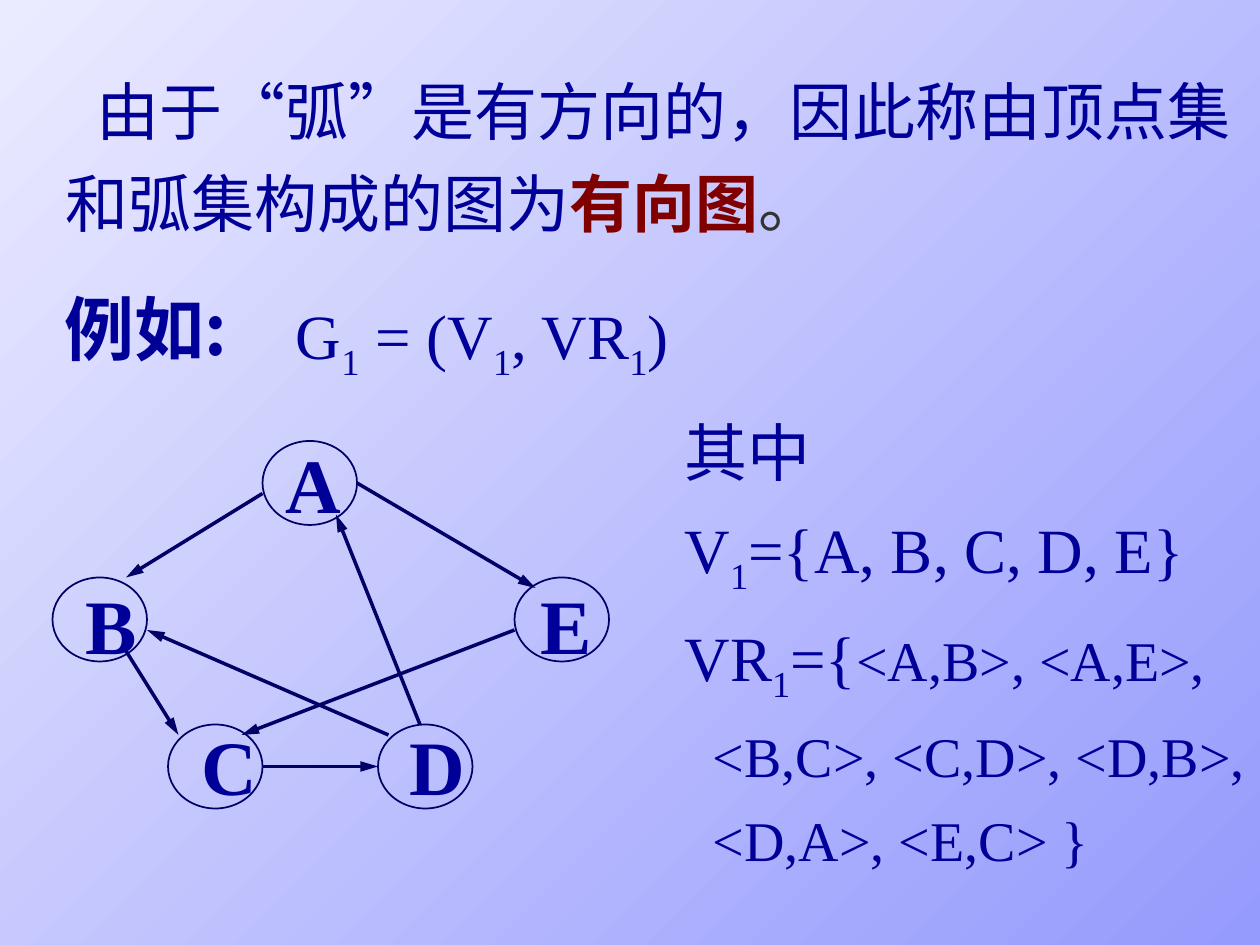
from lxml.etree import SubElement
from pptx import Presentation
from pptx.dml.color import RGBColor
from pptx.enum.shapes import MSO_CONNECTOR, MSO_SHAPE
from pptx.enum.text import MSO_ANCHOR, MSO_AUTO_SIZE, PP_ALIGN
from pptx.oxml.ns import qn
from pptx.util import Pt

PX = 7620  # 120 px to the inch
BLUE = RGBColor(0x00, 0x00, 0x99)
NAVY = RGBColor(0x00, 0x00, 0x66)
MAROON = RGBColor(0x80, 0x00, 0x00)
GREY = RGBColor(0x33, 0x33, 0x33)
DEEP = RGBColor(0x95, 0x9A, 0xFD)
PALE = RGBColor(0xEB, 0xEB, 0xFF)
CJK = "Noto Sans CJK SC"
SERIF = "Times New Roman"


def place(shape, left, top, width, height):
    shape.left, shape.top = left * PX, top * PX
    shape.width, shape.height = width * PX, height * PX
    frame = shape.text_frame
    frame.word_wrap = True
    frame.auto_size = MSO_AUTO_SIZE.NONE
    frame.vertical_anchor = MSO_ANCHOR.TOP
    return frame


def write(paragraph, runs, font, size, spacing, margin=0, indent=0):
    """Add (text, size, colour, bold, subscript) runs; later items may be left out."""
    paragraph.alignment = PP_ALIGN.LEFT
    paragraph.line_spacing = spacing
    paragraph.space_before = Pt(0)
    properties = paragraph._p.get_or_add_pPr()
    properties.set("marL", str(margin * PX))
    properties.set("indent", str(indent * PX))
    SubElement(properties, qn("a:buNone"))
    for text, *style in runs:
        run_size, colour, bold, subscript = style + [None, BLUE, False, False][len(style):]
        run = paragraph.add_run()
        run.text = text
        run.font.name = font
        run.font.size = Pt(run_size or size)
        run.font.bold = bold
        run.font.color.rgb = colour
        run_properties = run._r.get_or_add_rPr()
        if subscript:
            run_properties.set("baseline", "-25000")
        SubElement(run_properties, qn("a:ea"), typeface=font)


presentation = Presentation()
presentation.slide_width, presentation.slide_height = 1200 * PX, 900 * PX
slide = presentation.slides.add_slide(presentation.slide_layouts[1])
title, body = slide.placeholders
ONE = ("1", None, BLUE, False, True)

# Background
fill = slide.background.fill
fill.gradient()
fill.gradient_angle = 135
for stop, colour, position in zip(fill.gradient_stops, (DEEP, PALE), (0, 1)):
    stop.color.rgb = colour
    stop.position = position

# Definition
frame = place(title, 50, 40, 1150, 195)
frame.margin_top = 13 * PX
write(frame.paragraphs[0],
      [("由于“弧”是有方向的，因此称由顶点集和弧集构成的图为",),
       ("有向图", None, MAROON, True), ("。", None, GREY)],
      CJK, 36, Pt(52.6), indent=30)

# Example heading and formula
frame = place(slide.shapes.add_textbox(0, 0, 0, 0), 50, 250, 230, 108)
write(frame.paragraphs[0], [("例如:", None, BLUE, True)], CJK, 40, Pt(57.6))
frame = place(slide.shapes.add_textbox(0, 0, 0, 0), 270, 260, 450, 110)
write(frame.paragraphs[0],
      [("G",), ONE, (" = (V",), ONE, (", VR",), ONE, (")",)], SERIF, 36, 1.2)

# Vertex and arc sets
frame = place(body, 640, 370, 560, 467)
lines = [
    ([("其中",)], CJK, 36, Pt(54), 0),
    ([("V",), ONE, ("={A, B, C, D, E}",)], SERIF, 36, 1.25, 0),
    ([("VR",), ONE, ("={",), ("<A,B>, <A,E>,", 32)], SERIF, 36, 1.25, 0),
    ([("<B,C>, <C,D>, <D,B>,",)], SERIF, 32, 1.25, 27),
    ([("<D,A>, <E,C> }",)], SERIF, 32, 1.25, 27),
]
for number, line in enumerate(lines):
    write(frame.paragraphs[0] if number == 0 else frame.add_paragraph(), *line)

# Graph vertices: letter, circle left and top, letter box left and top
vertices = [
    ("A", 250, 420, 260, 410),
    ("B", 50, 550, 70, 544),
    ("E", 490, 550, 503, 544),
    ("C", 160, 690, 180, 678),
    ("D", 360, 690, 378, 678),
]
for letter, left, top, letter_left, letter_top in vertices:
    circle = slide.shapes.add_shape(
        MSO_SHAPE.OVAL, left * PX, top * PX, 90 * PX, 80 * PX)
    circle.shadow.inherit = False
    circle.fill.background()
    circle.line.color.rgb = NAVY
    circle.line.width = Pt(1)
    frame = place(slide.shapes.add_textbox(0, 0, 0, 0), letter_left, letter_top, 90, 100)
    write(frame.paragraphs[0], [(letter, None, BLUE, True)], SERIF, 44, 1.0)

# Arcs
arcs = [
    (250, 470, 120, 550),  # A to B
    (120, 620, 170, 700),  # B to C
    (250, 730, 360, 730),  # C to D
    (400, 690, 320, 490),  # D to A
    (340, 460, 510, 560),  # A to E
    (370, 700, 140, 600),  # D to B
    (490, 600, 230, 700),  # E to C
]
for arc in arcs:
    connector = slide.shapes.add_connector(
        MSO_CONNECTOR.STRAIGHT, *(length * PX for length in arc))
    connector.line.color.rgb = NAVY
    connector.line.width = Pt(2)
    SubElement(connector.line._get_or_add_ln(), qn("a:tailEnd"), type="triangle", len="lg")
    SubElement(connector._element.spPr, qn("a:effectLst"))

presentation.save("out.pptx")
